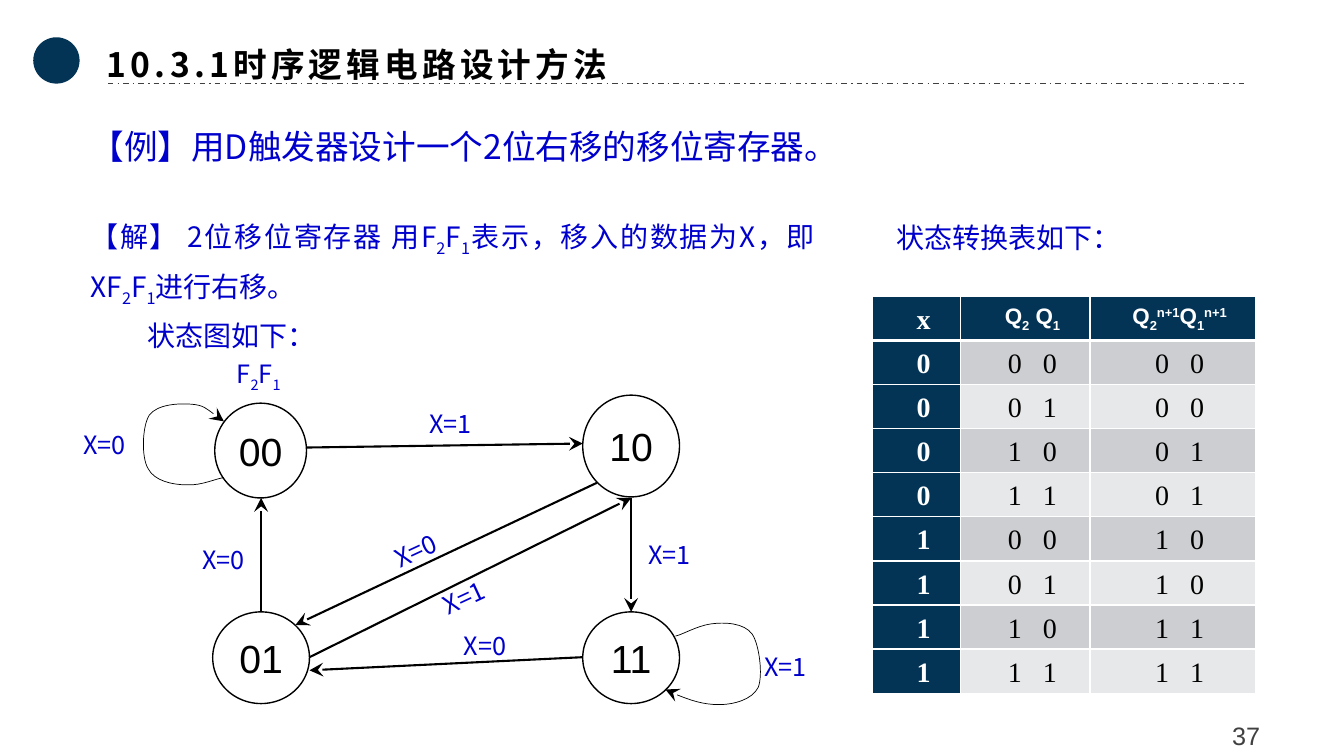
"""Builds the slide on designing a 2-bit right-shift register with D flip-flops."""
from dataclasses import dataclass

import pptx
import pptx.dml.color
import pptx.enum.dml
import pptx.enum.shapes
import pptx.enum.text
import pptx.oxml
import pptx.oxml.ns
import pptx.util


@dataclass(frozen=True)
class Theme:
    navy: str = "033455"
    blue: str = "0000CC"
    black: str = "000000"
    white: str = "FFFFFF"
    grey: str = "404040"
    bands: tuple = ("CCCED1", "E7E8E9")
    chinese: str = "Noto Sans CJK SC"
    sans: str = "Arial"
    serif: str = "Times New Roman"
    heading: int = 24
    body: int = 20
    label: int = 18
    header: int = 16
    state: int = 28


THEME = Theme()
SCALE = 9144
SUB, SUPER = -25, 30
ALIGN = pptx.enum.text.PP_ALIGN
ANCHOR = pptx.enum.text.MSO_ANCHOR
SHAPES = pptx.enum.shapes.MSO_SHAPE

TITLE = "10.3.1时序逻辑电路设计方法"
EXAMPLE = "【例】用D触发器设计一个2位右移的移位寄存器。"
REGISTER = [("F", 0), ("2", SUB), ("F", 0), ("1", SUB)]
SOLUTION = [("【解】 2位移位寄存器 用", 0), *REGISTER, ("表示，移入的数据为X，即X", 0),
            *REGISTER, ("进行右移。", 0)]
DIAGRAM_INTRO = "状态图如下："
TABLE_INTRO = "状态转换表如下："
PAGE_NUMBER = "37"

STATES = {
    "00": (213, 400, 91, 94),
    "10": (578, 392, 96, 101),
    "01": (211, 607, 96, 91),
    "11": (578, 607, 96, 91),
}
TRANSITIONS = [
    ((304, 444), (578, 440), None, None),
    ((592, 479), (293, 620), None, None),
    ((626, 494), (626, 607), None, "11"),
    ((259, 607), (259, 494), "01", None),
    ((307, 652), (626, 494), None, None),
    ((578, 652), (307, 665), None, None),
]
SELF_LOOPS = [
    [(222, 474), (216, 474), (200, 482), (185, 481), (171, 481), (153, 477), (147, 465),
     (140, 454), (141, 423), (148, 412), (156, 401), (177, 400), (190, 401),
     (202, 402), (211, 410), (222, 418)],
    [(670, 631), (676, 630), (691, 621), (705, 619), (719, 617), (738, 618), (746, 629),
     (753, 639), (757, 670), (752, 682), (746, 694), (728, 699), (713, 699),
     (697, 699), (673, 691), (660, 684)],
]
SLOPE = 335.1
INPUT_LABELS = [
    ("X=0", 73, 421, 0), ("X=1", 416, 400, 0), ("X=0", 381, 524, SLOPE),
    ("X=1", 633, 530, 0), ("X=0", 191, 535, 0), ("X=1", 429, 571, SLOPE),
    ("X=0", 450, 620, 0), ("X=1", 748, 641, 0),
]

TABLE_BOX = (865, 294, 380, 394)
COLUMN_WIDTHS = (88, 128, 164)
HEADERS = [
    [("x", 0)],
    [("Q", 0), ("2", SUB), (" ", 0), ("Q", 0), ("1", SUB)],
    [("Q", 0), ("2", SUB), ("n+1", SUPER), ("Q", 0), ("1", SUB), ("n+1", SUPER)],
]
STATE_ROWS = [(x, f"{q2} {q1}", f"{x} {q2}") for x in "01" for q2 in "01" for q1 in "01"]


def px(*lengths):
    return [pptx.util.Emu(length * SCALE) for length in lengths]


def rgb(color):
    return pptx.dml.color.RGBColor.from_string(color)


def add_xml(parent, tag, **attributes):
    element = parent.makeelement(pptx.oxml.ns.qn(tag), attributes)
    parent.append(element)
    return element


def write(paragraph, parts, size, color, face, bold=False, spacing=0, align=ALIGN.LEFT,
          leading=None, indent=0):
    parts = [(parts, 0)] if isinstance(parts, str) else parts
    paragraph.alignment = align
    paragraph.line_spacing = leading
    if indent:
        paragraph._p.get_or_add_pPr().set("indent", str(indent * SCALE))
    for text, baseline in parts:
        run = paragraph.add_run()
        run.text = text
        run.font.name, run.font.size, run.font.bold = face, pptx.util.Pt(size), bold
        run.font.color.rgb = rgb(color)
        properties = run._r.get_or_add_rPr()
        add_xml(properties, "a:ea", typeface=face)
        if baseline:
            properties.set("baseline", str(baseline * 1000))
        if spacing:
            properties.set("spc", str(spacing * 100))


def add_text(slide, box, parts, size, wrap=False, color=THEME.blue, face=THEME.chinese, **style):
    shape = slide.shapes.add_textbox(*px(*box))
    shape.text_frame.word_wrap = wrap
    write(shape.text_frame.paragraphs[0], parts, size, color, face, **style)
    return shape


def style_line(line, color, width, arrow=False):
    line.color.rgb = rgb(color)
    line.width = pptx.util.Pt(width)
    if arrow:
        add_xml(line._get_or_add_ln(), "a:tailEnd", type="stealth", w="lg", len="lg")


def add_ellipse(slide, box, fill):
    ellipse = slide.shapes.add_shape(SHAPES.OVAL, *px(*box))
    ellipse.shadow.inherit = False
    ellipse.fill.solid()
    ellipse.fill.fore_color.rgb = rgb(fill)
    return ellipse


def add_line(slide, start, end, color, width, arrow=False):
    connector = slide.shapes.add_connector(
        pptx.enum.shapes.MSO_CONNECTOR.STRAIGHT, *px(*start, *end))
    style_line(connector.line, color, width, arrow)
    add_xml(connector._element.spPr, "a:effectLst")
    return connector


def add_loop(slide, points):
    builder = slide.shapes.build_freeform(*points[0], scale=SCALE)
    builder.add_line_segments(points[1:], close=False)
    loop = builder.convert_to_shape()
    loop.shadow.inherit = False
    loop.fill.background()
    style_line(loop.line, THEME.black, 0.5, arrow=True)
    outline = loop._element.find(".//" + pptx.oxml.ns.qn("a:path"))
    segments = outline.findall(pptx.oxml.ns.qn("a:lnTo"))
    for first in range(0, len(segments), 3):
        curve = add_xml(outline, "a:cubicBezTo")
        for segment in segments[first:first + 3]:
            curve.append(segment[0])
            outline.remove(segment)


def add_heading(slide):
    add_ellipse(slide, (33, 37, 46, 46), THEME.navy).line.fill.background()
    title = slide.shapes.title
    title.left, title.top, title.width, title.height = px(96, 30, 1140, 59)
    title.text_frame.auto_size = pptx.enum.text.MSO_AUTO_SIZE.NONE
    title.text_frame.vertical_anchor = ANCHOR.MIDDLE
    write(title.text_frame.paragraphs[0], TITLE, THEME.heading, THEME.black, THEME.chinese,
          bold=True, spacing=3, leading=1.2)
    rule = add_line(slide, (107, 83), (1236, 83), THEME.grey, 1)
    rule.line.dash_style = pptx.enum.dml.MSO_LINE.DASH_DOT


def add_explanation(slide):
    body = {"align": ALIGN.JUSTIFY, "leading": 1.31}
    add_text(slide, (80, 108, 800, 63), EXAMPLE, THEME.heading, wrap=True, **body)
    solution = add_text(slide, (80, 201, 738, 142), SOLUTION, THEME.body, wrap=True, **body)
    write(solution.text_frame.add_paragraph(), DIAGRAM_INTRO, THEME.body, THEME.blue,
          THEME.chinese, indent=56, **body)
    add_text(slide, (879, 204, 245, 50), TABLE_INTRO, THEME.body, **body)


def add_state_diagram(slide):
    circles = {}
    for name, box in STATES.items():
        circle = circles[name] = add_ellipse(slide, box, THEME.white)
        style_line(circle.line, THEME.black, 1)
        frame = circle.text_frame
        frame.word_wrap = False
        frame.vertical_anchor = ANCHOR.MIDDLE
        write(frame.paragraphs[0], name, THEME.state, THEME.black, THEME.sans, align=ALIGN.CENTER)
    for start, end, source, target in TRANSITIONS:
        arrow = add_line(slide, start, end, THEME.black, 1.5, arrow=True)
        if source:
            arrow.begin_connect(circles[source], 0)
        if target:
            arrow.end_connect(circles[target], 0)
    for points in SELF_LOOPS:
        add_loop(slide, points)
    for text, left, top, angle in INPUT_LABELS:
        add_text(slide, (left, top, 70, 40), text, THEME.label).rotation = angle
    add_text(slide, (225, 351, 67, 40), REGISTER, THEME.label)


def format_cell(cell, fill, is_header):
    cell.margin_left, cell.margin_top, cell.margin_right, cell.margin_bottom = px(7, 8, 7, 0)
    properties = cell._tc.get_or_add_tcPr()
    for side in "LRTB":
        width = 3 if is_header and side == "B" else 1
        border = add_xml(properties, f"a:ln{side}", w=str(pptx.util.Pt(width)))
        add_xml(add_xml(border, "a:solidFill"), "a:srgbClr", val=THEME.white)
    cell.fill.solid()
    cell.fill.fore_color.rgb = rgb(fill)


def add_state_table(slide):
    rows = [HEADERS, *STATE_ROWS]
    table = slide.shapes.add_table(len(rows), len(COLUMN_WIDTHS), *px(*TABLE_BOX)).table
    for column, width in zip(table.columns, px(*COLUMN_WIDTHS)):
        column.width = width
    for r, row in enumerate(rows):
        table.rows[r].height = TABLE_BOX[3] * SCALE // len(rows)
        for c, content in enumerate(row):
            cell = table.cell(r, c)
            dark = r == 0 or c == 0
            symbol = r == 0 and c > 0
            format_cell(cell, THEME.navy if dark else THEME.bands[(r - 1) % 2], r == 0)
            write(cell.text_frame.paragraphs[0], content,
                  THEME.header if symbol else THEME.body,
                  THEME.white if dark else THEME.black,
                  THEME.sans if symbol else THEME.serif,
                  bold=dark, spacing=0 if dark else 5, align=ALIGN.CENTER, indent=14)


def main():
    presentation = pptx.Presentation()
    presentation.slide_width, presentation.slide_height = px(1333, 750)
    slide = presentation.slides.add_slide(presentation.slide_layouts[5])
    add_heading(slide)
    add_explanation(slide)
    add_state_diagram(slide)
    add_state_table(slide)
    number = add_text(slide, (1148, 705, 176, 43), PAGE_NUMBER, THEME.label, wrap=True,
                      color=THEME.grey, face=THEME.sans, align=ALIGN.CENTER, leading=1.2)
    number.text_frame.vertical_anchor = ANCHOR.MIDDLE
    presentation.save("out.pptx")


if __name__ == "__main__":
    main()
